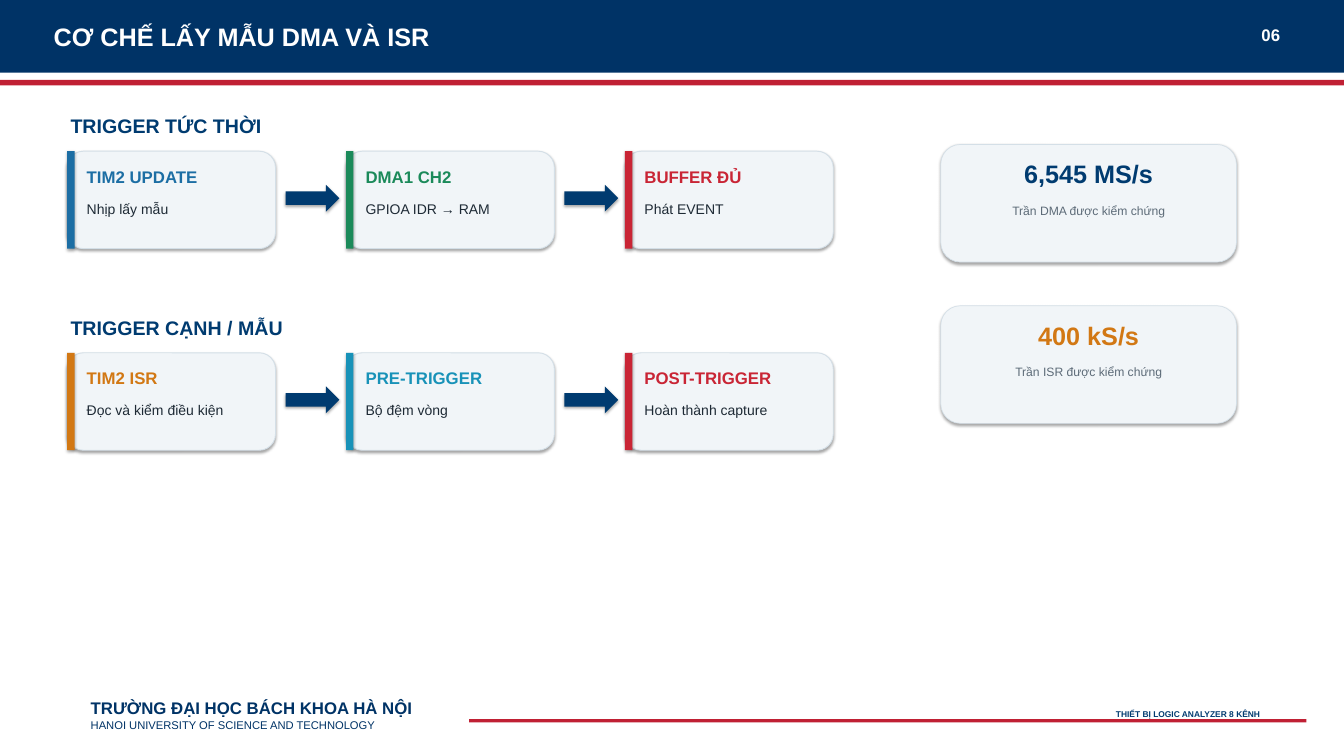
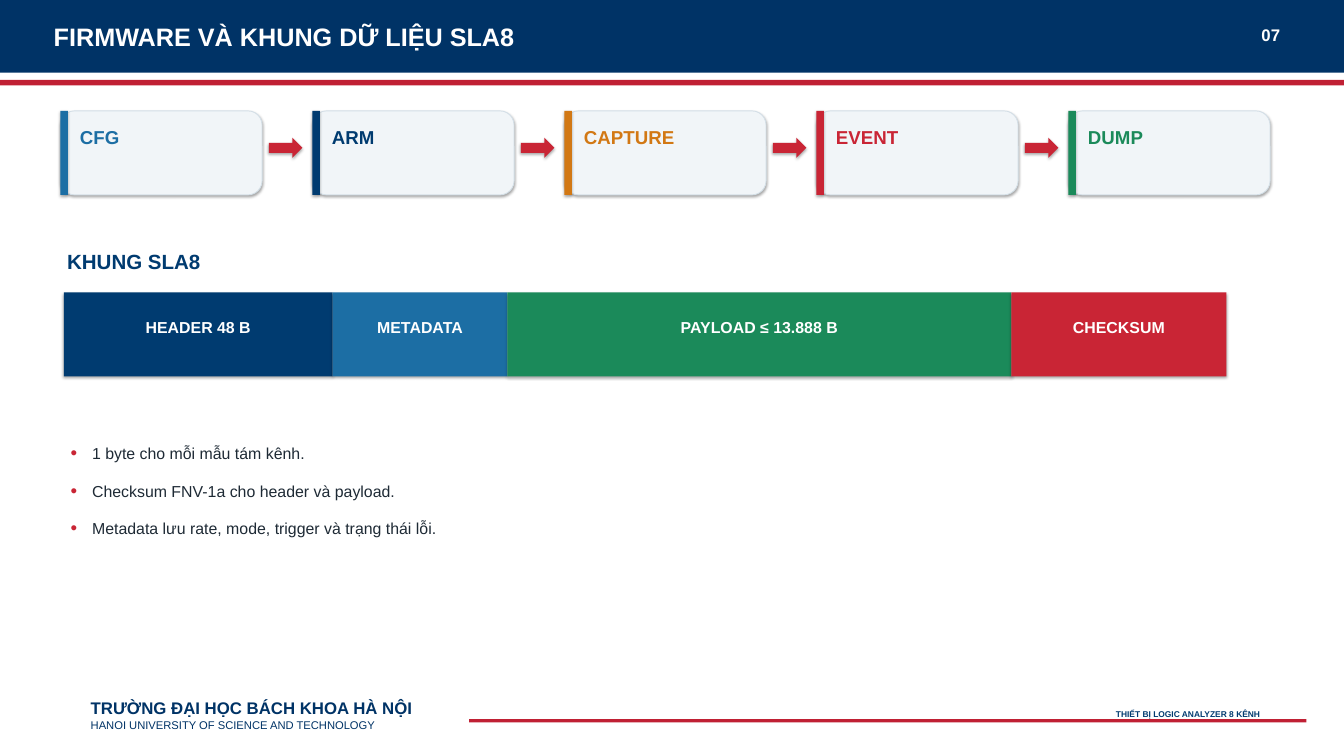
"""Build two slides on sampling flows and the SLA8 data frame."""
from lxml.etree import SubElement
from pptx import Presentation
from pptx.dml.color import RGBColor
from pptx.enum.shapes import MSO_SHAPE
from pptx.enum.text import MSO_ANCHOR, MSO_AUTO_SIZE, PP_ALIGN
from pptx.oxml.ns import qn
from pptx.util import Pt

SCALE = 9144
PAGE = (2000, 1125)
FONT = "Arial"
PAD = 5
SIDES = ("margin_left", "margin_top", "margin_right", "margin_bottom")
COLORS = {
    "band": "003366", "rule": "C02034", "navy": "003B70", "blue": "1C6EA4",
    "green": "1B8A5A", "red": "C92535", "orange": "D27814", "cyan": "1892B8",
    "ink": "1E2A35", "muted": "5D6B78", "card": "F1F5F8", "edge": "D4DFE7",
    "white": "FFFFFF",
}
LEFT, CENTER, RIGHT = PP_ALIGN.LEFT, PP_ALIGN.CENTER, PP_ALIGN.RIGHT
TOP, MIDDLE = MSO_ANCHOR.TOP, MSO_ANCHOR.MIDDLE


def emu(*values):
    """Turn px lengths into EMU."""
    return [value * SCALE for value in values]


def paint(name):
    """Return the named colour."""
    return RGBColor.from_string(COLORS[name])


def apply(target, values):
    """Set every attribute in values on the target."""
    for key, value in values.items():
        setattr(target, key, value)


def add_shade(shape):
    """Give a shape a soft shadow below it."""
    effects = shape.element.spPr.find(qn("a:effectLst"))
    outer = SubElement(effects, qn("a:outerShdw"), blurRad="40000",
                       dist="23000", dir="5400000", rotWithShape="0")
    color = SubElement(outer, qn("a:srgbClr"), val="000000")
    SubElement(color, qn("a:alpha"), val="35000")


def add_block(slide, kind, box, fill, edge=None, shade=True):
    """Add a filled shape, with edge as an outline width in points."""
    shape = slide.shapes.add_shape(kind, *emu(*box))
    shape.shadow.inherit = False
    shape.fill.solid()
    shape.fill.fore_color.rgb = paint(fill)
    if edge:
        shape.line.color.rgb = paint("edge")
        shape.line.width = Pt(edge)
    else:
        shape.line.fill.background()
    if shade:
        add_shade(shape)


def style(para, size, color, bold=False, align=LEFT):
    """Format one paragraph."""
    para.alignment = align
    apply(para.font, {"name": FONT, "size": Pt(size), "bold": bold})
    para.font.color.rgb = paint(color)


def add_frame(slide, box, anchor=TOP, pad=PAD, fit=MSO_AUTO_SIZE.SHAPE_TO_FIT_TEXT):
    """Add a wrapped text box and return its frame."""
    frame = slide.shapes.add_textbox(*emu(*box)).text_frame
    apply(frame, {"word_wrap": True, "auto_size": fit, "vertical_anchor": anchor,
                  **dict.fromkeys(SIDES, pad * SCALE)})
    return frame


def add_text(slide, box, text, size, color, bold=True, align=LEFT, anchor=TOP):
    """Add one line of text."""
    para = add_frame(slide, box, anchor).paragraphs[0]
    para.text = text
    style(para, size, color, bold, align)


def add_school(slide):
    """Add the school name in the footer."""
    frame = add_frame(slide, (135, 1022, 540, 84), MIDDLE, 0, MSO_AUTO_SIZE.NONE)
    lines = (("TRƯỜNG ĐẠI HỌC BÁCH KHOA HÀ NỘI", 18, True),
             ("HANOI UNIVERSITY OF SCIENCE AND TECHNOLOGY", 12, False))
    frame.text = "\n".join(line[0] for line in lines)
    for para, (_, size, bold) in zip(frame.paragraphs, lines):
        style(para, size, "band", bold)
        para.line_spacing = Pt(size * 1.2)


def add_page(deck, title, number):
    """Add a slide with its header and footer."""
    slide = deck.slides.add_slide(deck.slide_layouts[6])
    for box, fill in (((0, 0, PAGE[0], 108), "band"),
                      ((0, 119, PAGE[0], 8), "rule"),
                      ((698, 1070, 1246, 5), "rule")):
        add_block(slide, MSO_SHAPE.RECTANGLE, box, fill, shade=False)
    add_school(slide)
    add_text(slide, (75, 27, 1680, 55), title, 27, "white", anchor=MIDDLE)
    add_text(slide, (1810, 27, 100, 50), number, 18, "white",
             align=RIGHT, anchor=MIDDLE)
    add_text(slide, (1370, 1050, 510, 25), "THIẾT BỊ LOGIC ANALYZER 8 KÊNH", 9,
             "navy", align=RIGHT)
    return slide


def add_card(slide, box, title, color, size, note=None):
    """Add a rounded card with a colour strip on its left."""
    left, top, width, height = box
    add_block(slide, MSO_SHAPE.ROUNDED_RECTANGLE, box, "card", 1)
    add_block(slide, MSO_SHAPE.RECTANGLE, (left, top, 11, height), color)
    add_text(slide, (left + 24, top + 18, width - 42, 42), title, size, color)
    if note:
        add_text(slide, (left + 24, top + 68, width - 42, height - 82), note, 15,
                 "ink", bold=False)


def add_flow(slide, first, pitch, steps, size, arrow, color):
    """Add a row of cards with an arrow in each gap."""
    left, top, width, height = first
    shift, drop, *extent = arrow
    for index, step in enumerate(steps):
        start = left + index * pitch
        add_card(slide, (start, top, width, height), step[0], step[1], size, *step[2:])
        if index < len(steps) - 1:
            add_block(slide, MSO_SHAPE.RIGHT_ARROW,
                      (start + shift, top + drop, *extent), color)


def add_stat(slide, top, value, color, label):
    """Add a card with a large value over its label."""
    left, width = 1400, 440
    add_block(slide, MSO_SHAPE.ROUNDED_RECTANGLE, (left, top, width, 175), "card", 0.75)
    add_text(slide, (left + 15, top + 16, width - 30, 62), value, 27, color, align=CENTER)
    add_text(slide, (left + 18, top + 82, width - 36, 80), label, 13, "muted",
             bold=False, align=CENTER)


def add_strip(slide, left, top, parts):
    """Add the fields of a frame side by side."""
    for text, color, width in parts:
        add_block(slide, MSO_SHAPE.RECTANGLE, (left, top, width, 125), color)
        add_text(slide, (left + 8, top + 33, width - 16, 42), text, 17, "white",
                 align=CENTER)
        left += width


def add_list(slide, box, items):
    """Add a list with red bullets."""
    frame = add_frame(slide, box)
    frame.text = "\n".join(items)
    for index, para in enumerate(frame.paragraphs):
        props = para._p.get_or_add_pPr()
        apply_dent = {"marL": 32 * SCALE, "indent": -32 * SCALE}
        for key, value in apply_dent.items():
            props.set(key, str(value))
        color = SubElement(props, qn("a:buClr"))
        SubElement(color, qn("a:srgbClr"), val=COLORS["red"])
        SubElement(props, qn("a:buSzPct"), val="118000")
        SubElement(props, qn("a:buFont"), typeface=FONT)
        SubElement(props, qn("a:buChar"), char="•")
        style(para, 17, "ink")
        if index:
            para.space_before = Pt(20)


def add_modes(deck):
    """Add the slide on DMA and ISR sampling."""
    slide = add_page(deck, "CƠ CHẾ LẤY MẪU DMA VÀ ISR", "06")
    rows = (
        ("TRIGGER TỨC THỜI", (("TIM2 UPDATE", "blue", "Nhịp lấy mẫu"),
                              ("DMA1 CH2", "green", "GPIOA IDR → RAM"),
                              ("BUFFER ĐỦ", "red", "Phát EVENT"))),
        ("TRIGGER CẠNH / MẪU", (("TIM2 ISR", "orange", "Đọc và kiểm điều kiện"),
                                ("PRE-TRIGGER", "cyan", "Bộ đệm vòng"),
                                ("POST-TRIGGER", "red", "Hoàn thành capture"))),
    )
    for index, (title, steps) in enumerate(rows):
        top = 165 + 300 * index
        add_text(slide, (100, top, 850, 45), title, 21, "navy")
        add_flow(slide, (100, top + 60, 310, 145), 415, steps, 18,
                 (325, 50, 80, 40), "navy")
    add_stat(slide, 215, "6,545 MS/s", "navy", "Trần DMA được kiểm chứng")
    add_stat(slide, 455, "400 kS/s", "orange", "Trần ISR được kiểm chứng")


def add_format(deck):
    """Add the slide on the firmware steps and SLA8 frame."""
    slide = add_page(deck, "FIRMWARE VÀ KHUNG DỮ LIỆU SLA8", "07")
    steps = (("CFG", "blue"), ("ARM", "navy"), ("CAPTURE", "orange"),
             ("EVENT", "red"), ("DUMP", "green"))
    add_flow(slide, (90, 165, 300, 125), 375, steps, 20, (310, 40, 50, 30), "red")
    add_text(slide, (95, 365, 300, 45), "KHUNG SLA8", 22, "navy")
    add_strip(slide, 95, 435, (("HEADER 48 B", "navy", 400),
                               ("METADATA", "blue", 260),
                               ("PAYLOAD ≤ 13.888 B", "green", 750),
                               ("CHECKSUM", "red", 320)))
    add_list(slide, (100, 655, 1700, 165), (
        "1 byte cho mỗi mẫu tám kênh.",
        "Checksum FNV-1a cho header và payload.",
        "Metadata lưu rate, mode, trigger và trạng thái lỗi."))


def main():
    """Build and save the deck."""
    deck = Presentation()
    deck.slide_width, deck.slide_height = emu(*PAGE)
    add_modes(deck)
    add_format(deck)
    deck.save("out.pptx")


if __name__ == "__main__":
    main()
